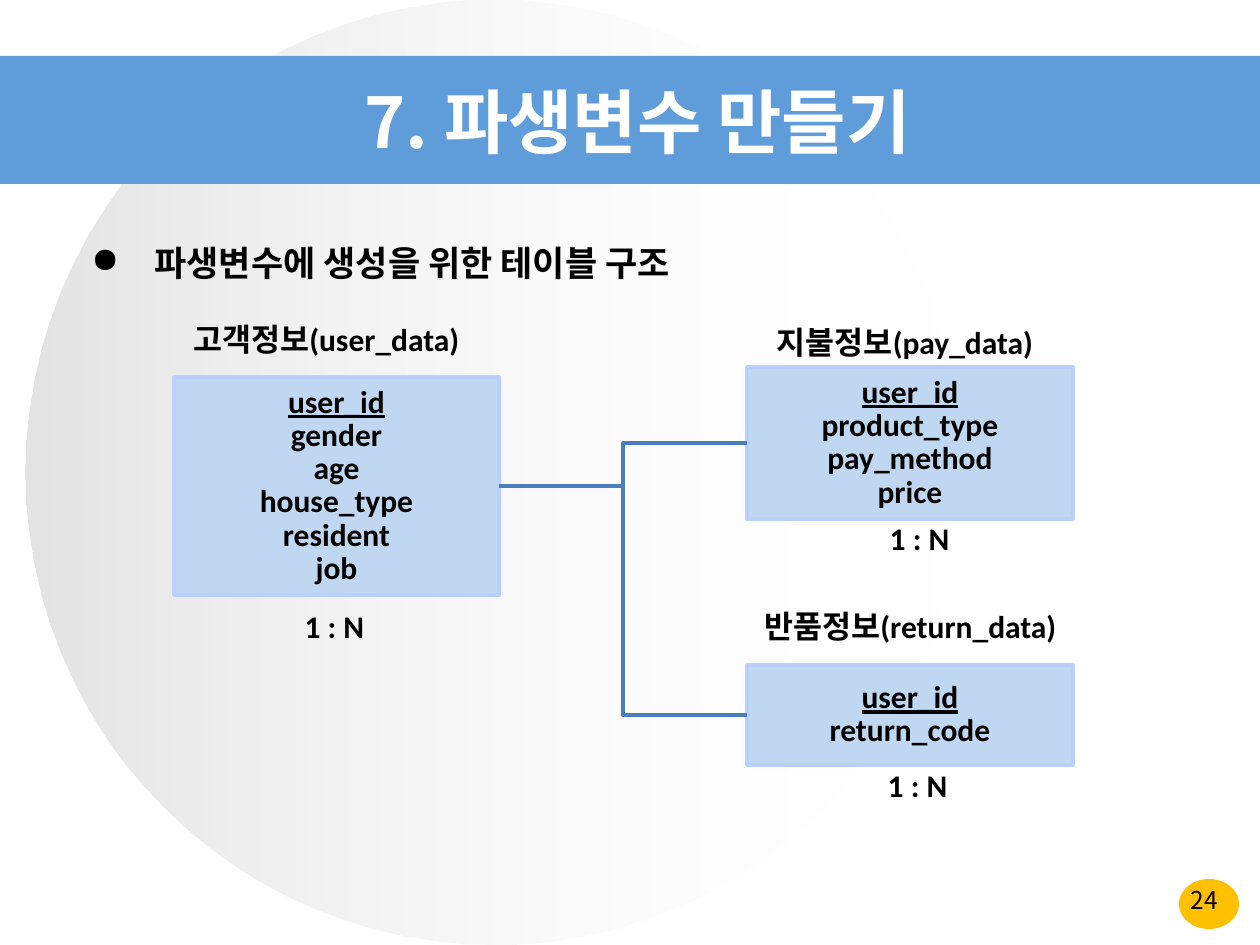
from lxml import etree
from pptx import Presentation
from pptx.dml.color import RGBColor
from pptx.enum.shapes import MSO_CONNECTOR, MSO_SHAPE
from pptx.enum.text import MSO_ANCHOR, MSO_AUTO_SIZE, PP_ALIGN
from pptx.oxml.ns import qn
from pptx.util import Emu, Pt

RECTANGLE, OVAL = MSO_SHAPE.RECTANGLE, MSO_SHAPE.OVAL
ELBOW = MSO_CONNECTOR.ELBOW
LEFT, CENTER = PP_ALIGN.LEFT, PP_ALIGN.CENTER
TOP, MIDDLE = MSO_ANCHOR.TOP, MSO_ANCHOR.MIDDLE
FIT_SHAPE = MSO_AUTO_SIZE.SHAPE_TO_FIT_TEXT
LEFT_SITE, RIGHT_SITE = 1, 3

PX_PER_INCH = 126
KOREAN, LATIN = "Noto Sans CJK KR", "Calibri"


def px(length):
    return Emu(round(length * 914400 / PX_PER_INCH))


def color(hex_code):
    return RGBColor.from_string(hex_code)


class SlideBuilder:
    banner_fill, badge_fill = "5E9CDA", "FFC000"
    table_fill, table_border, link = "BFD7F0", "B8CFFF", "4B7EBC"
    line_pitch = Pt(19)

    def __init__(self, slide):
        self.slide = slide

    def shape(self, kind, box, fill=None):
        shape = self.slide.shapes.add_shape(kind, *map(px, box))
        shape.shadow.inherit = False
        shape.line.fill.background()
        if fill:
            shape.fill.solid()
            shape.fill.fore_color.rgb = color(fill)
        return shape

    def fading_circle(self, box, stops):
        """Fade left to right through (hex, opacity percent) stops."""
        circle = self.shape(OVAL, box)
        circle.fill.gradient()
        circle.fill.gradient_angle = 0
        for stop, (hex_code, _) in zip(circle.fill.gradient_stops, stops):
            stop.color.rgb = color(hex_code)
        fill_colors = circle.element.spPr.find(qn("a:gradFill")).iter(qn("a:srgbClr"))
        for node, (_, opacity) in zip(fill_colors, stops):
            etree.SubElement(node, qn("a:alpha"), val=str(opacity * 1000))

    def style(self, paragraph, size, font=LATIN, ink="000000", bold=True,
              align=CENTER, spacing=None):
        paragraph.alignment = align
        paragraph.line_spacing = spacing
        paragraph.font.size = Pt(size)
        paragraph.font.name = font
        paragraph.font.bold = bold
        paragraph.font.color.rgb = color(ink)
        defaults = paragraph._p.pPr.find(qn("a:defRPr"))
        etree.SubElement(defaults, qn("a:ea"), typeface=KOREAN)

    def text(self, box, words, size, anchor=TOP, wrap=True, **look):
        frame = self.slide.shapes.add_textbox(*map(px, box)).text_frame
        frame.word_wrap = wrap
        frame.vertical_anchor = anchor
        frame.text = words
        self.style(frame.paragraphs[0], size, **look)
        return frame

    def bullet(self, box, words):
        frame = self.text(box, words, 20, font=KOREAN, align=LEFT, spacing=1.5)
        frame.auto_size = FIT_SHAPE
        properties = frame.paragraphs[0]._p.pPr
        indent = px(63)
        properties.set("marL", str(indent))
        properties.set("indent", str(-indent))
        mark = etree.Element(qn("a:buChar"), char="●")
        properties.find(qn("a:defRPr")).addprevious(mark)

    def label(self, box, words):
        frame = self.text(box, words, 18, wrap=False, spacing=self.line_pitch)
        frame.auto_size = FIT_SHAPE

    def cardinality(self, box):
        self.text(box, "1 : N", 18, spacing=self.line_pitch)

    def data_table(self, box, fields):
        """Draw a box of field names, the first one underlined as the key."""
        table = self.shape(RECTANGLE, box, self.table_fill)
        table.line.color.rgb = color(self.table_border)
        table.line.width = Pt(2)
        frame = table.text_frame
        frame.word_wrap = True
        frame.vertical_anchor = MIDDLE
        frame.text = "\n".join(fields)
        for paragraph in frame.paragraphs:
            self.style(paragraph, 18, spacing=self.line_pitch)
        frame.paragraphs[0].font.underline = True
        return table

    def relation(self, parent, child):
        link = self.slide.shapes.add_connector(ELBOW, 0, 0, 0, 0)
        link.begin_connect(parent, RIGHT_SITE)
        link.end_connect(child, LEFT_SITE)
        link.line.color.rgb = color(self.link)
        link.line.width = Pt(2.25)
        etree.SubElement(link.element.spPr, qn("a:effectLst"))


def main():
    deck = Presentation()
    deck.slide_width, deck.slide_height = px(1260), px(945)
    page = SlideBuilder(deck.slides.add_slide(deck.slide_layouts[6]))

    page.shape(OVAL, (1179, 879, 60, 50), page.badge_fill)
    page.fading_circle((25, 0, 937, 945), [("C0C0C0", 44), ("FFFFFF", 0)])
    page.shape(RECTANGLE, (0, 56, 1260, 128), page.banner_fill)
    page.text((15, 73, 1245, 95), "7. 파생변수 만들기", 40, anchor=MIDDLE,
              font=KOREAN, ink="FFFFFF")
    page.text((1149, 879, 111, 37), "24", 14, font=KOREAN, bold=False)
    page.bullet((79, 214, 1176, 77), "파생변수에 생성을 위한 테이블 구조")

    user = page.data_table(
        (174, 377, 325, 218),
        ["user_id", "gender", "age", "house_type", "resident", "job"])
    pay = page.data_table(
        (747, 367, 326, 152),
        ["user_id", "product_type", "pay_method", "price"])
    returns = page.data_table((747, 665, 326, 100), ["user_id", "return_code"])

    for box in [(816, 517, 207, 37), (814, 764, 207, 37), (207, 605, 255, 37)]:
        page.cardinality(box)
    for child in (pay, returns):
        page.relation(user, child)

    page.label((174, 318, 305, 47), "고객정보(user_data)")
    page.label((757, 321, 296, 47), "지불정보(pay_data)")
    page.label((745, 605, 331, 47), "반품정보(return_data)")

    deck.save("out.pptx")


if __name__ == "__main__":
    main()
